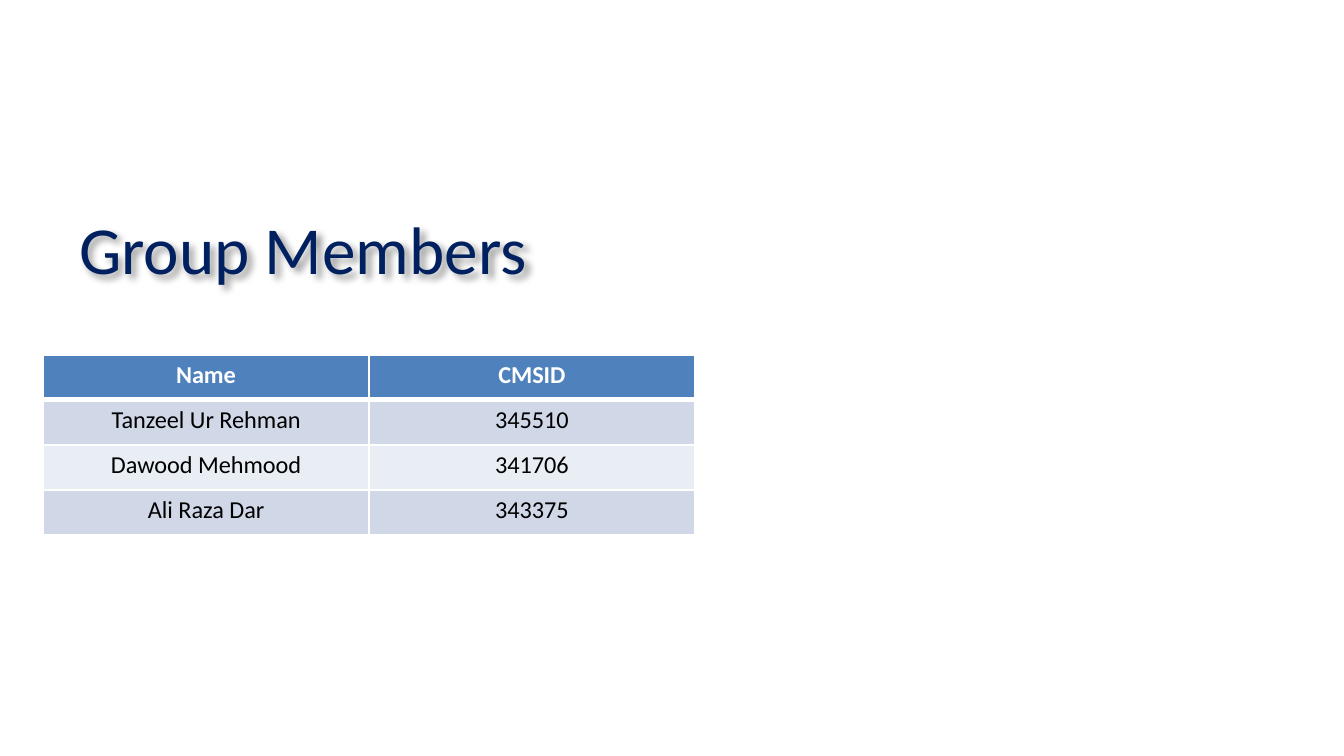
from lxml.etree import SubElement
from pptx import Presentation
from pptx.dml.color import RGBColor
from pptx.enum.text import MSO_ANCHOR, PP_ALIGN
from pptx.oxml import parse_xml
from pptx.oxml.ns import nsdecls, qn
from pptx.util import Inches, Pt

FONT = "Calibri"
COLORS = {
    "title": "002060", "head": "4F81BD", "odd": "D0D8E8", "even": "E9EDF4",
    "light": "FFFFFF", "dark": "000000", "shadow": "000000",
}
MEMBERS = [
    ("Name", "CMSID"),
    ("Tanzeel Ur Rehman", "345510"),
    ("Dawood Mehmood", "341706"),
    ("Ali Raza Dar", "343375"),
]


def color(name):
    return RGBColor.from_string(COLORS[name])


def set_font(font, size, name, bold=False):
    font.name, font.size, font.bold = FONT, Pt(size), bold
    font.color.rgb = color(name)


def add_shadow(box):
    """Give the text of an unfilled box a soft shadow to the lower right."""
    box._element.spPr.append(parse_xml(
        f'<a:effectLst {nsdecls("a")}>'
        '<a:outerShdw blurRad="50800" dist="38100" dir="2700000" algn="tl" '
        'rotWithShape="0">'
        f'<a:srgbClr val="{COLORS["shadow"]}"><a:alpha val="40000"/></a:srgbClr>'
        '</a:outerShdw></a:effectLst>'))


def set_border(cell, widths):
    """Draw white cell sides; widths maps a side to points."""
    props = cell._tc.get_or_add_tcPr()
    for place, (side, width) in enumerate(widths.items()):
        line = parse_xml(f'<a:ln{side} {nsdecls("a")} w="{Pt(width)}"/>')
        fill = SubElement(line, qn("a:solidFill"))
        SubElement(fill, qn("a:srgbClr"), val=COLORS["light"])
        props.insert(place, line)


def add_title(slide, left, top, width, height):
    box = slide.shapes.add_textbox(left, top, width, height)
    frame = box.text_frame
    frame.word_wrap = True
    frame.vertical_anchor = MSO_ANCHOR.MIDDLE
    para = frame.paragraphs[0]
    para.text = "Group Members"
    set_font(para.font, 36, "title")
    add_shadow(box)


def add_members(slide, left, top, width, height):
    table = slide.shapes.add_table(
        len(MEMBERS), len(MEMBERS[0]), left, top, width, height).table
    for r, row in enumerate(MEMBERS):
        head = r == 0
        fill = "head" if head else "odd" if r % 2 else "even"
        for c, text in enumerate(row):
            cell = table.cell(r, c)
            cell.text = text
            cell.margin_left = cell.margin_right = Inches(0.07)
            cell.margin_top = cell.margin_bottom = Inches(0.04)
            cell.fill.solid()
            cell.fill.fore_color.rgb = color(fill)
            para = cell.text_frame.paragraphs[0]
            para.alignment = PP_ALIGN.CENTER
            set_font(para.font, 13, "light" if head else "dark", head)
            # The rule under the header is heavier than the rest
            set_border(cell, {"L": 1, "R": 1, "T": 3 if r == 1 else 1,
                              "B": 3 if head else 1})


def main():
    deck = Presentation()
    deck.slide_width = Inches(10)
    deck.slide_height = deck.slide_width * 9 // 16
    slide = deck.slides.add_slide(deck.slide_layouts[6])
    add_members(slide, Inches(0.32), Inches(2.64), Inches(4.85), Inches(1.34))
    add_title(slide, Inches(0.49), Inches(1.12), Inches(3.75), Inches(1.45))
    deck.save("out.pptx")


if __name__ == "__main__":
    main()
